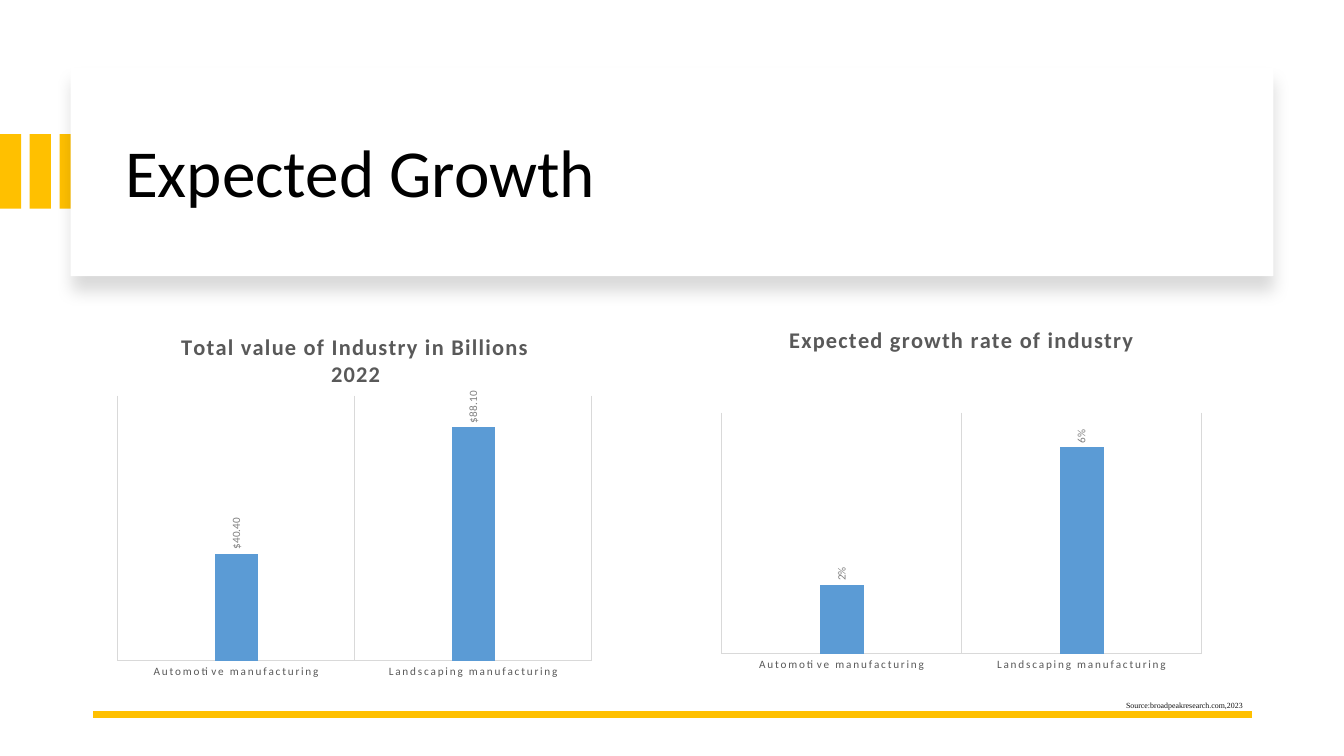
import pptx
import pptx.util
import pptx.chart.data
import pptx.dml.color
import pptx.enum.chart
import pptx.enum.shapes
import pptx.enum.text
import pptx.oxml
import pptx.oxml.ns

Inches = pptx.util.Inches
Pt = pptx.util.Pt
RGB = pptx.dml.color.RGBColor
XL = pptx.enum.chart
RECT = pptx.enum.shapes.MSO_SHAPE.RECTANGLE

GOLD = RGB(0xFF, 0xC0, 0x00)
WHITE = RGB(0xFF, 0xFF, 0xFF)
BLACK = RGB(0x00, 0x00, 0x00)
INK = RGB(0x11, 0x11, 0x11)
BLUE = RGB(0x5B, 0x9B, 0xD5)
DARK = RGB(0x59, 0x59, 0x59)
GREY = RGB(0x80, 0x80, 0x80)
PALE = RGB(0xD9, 0xD9, 0xD9)

NS = pptx.oxml.ns.nsdecls("a")
CATS = ["Automotive manufacturing", "Landscaping manufacturing"]
MONEY = '"$"#,##0.00_);[Red]\\("$"#,##0.00\\)'


def put(obj, **vals):
    """Set each named attribute of an object."""
    for key, val in vals.items():
        setattr(obj, key, val)


def style(font, size, color, name="Calibri", **more):
    put(font, size=Pt(size), name=name, **more)
    font.color.rgb = color


def block(shapes, box, color):
    rect = shapes.add_shape(RECT, *map(Inches, box))
    rect.shadow.inherit = False
    rect.fill.solid()
    rect.fill.fore_color.rgb = color
    rect.line.fill.background()
    return rect


def place(holder, x, y, w=None, h=None):
    """Give a chart part a manual layout, in fractions of the chart."""
    vals = [("xMode", "edge"), ("yMode", "edge"), ("x", x), ("y", y)]
    if w:
        vals = [("layoutTarget", "inner")] + vals + [("w", w), ("h", h)]
    inner = "".join(f'<c:{tag} val="{val}"/>' for tag, val in vals)
    for old in holder.findall(pptx.oxml.ns.qn("c:layout")):
        holder.remove(old)
    layout = pptx.oxml.parse_xml(
        f'<c:layout {pptx.oxml.ns.nsdecls("c")}>'
        f"<c:manualLayout>{inner}</c:manualLayout></c:layout>")
    text = holder.find(pptx.oxml.ns.qn("c:tx"))
    if text is None:
        holder.insert(0, layout)
    else:
        text.addnext(layout)


def header(slide, box):
    x, y, w, h = box
    # Gold bars at the left edge
    bars = slide.shapes.add_group_shape()
    for i in range(3):
        block(bars.shapes, (i * 0.295, y + 0.66, 0.21, 0.74), GOLD)
    # White card with a soft shadow
    card = block(slide.shapes, box, WHITE)
    effect = card._element.spPr.find(pptx.oxml.ns.qn("a:effectLst"))
    effect.append(pptx.oxml.parse_xml(
        f'<a:outerShdw {NS} blurRad="{Pt(11)}" dist="{Pt(10)}" dir="5400000" '
        'algn="t" rotWithShape="0"><a:srgbClr val="000000">'
        '<a:alpha val="15000"/></a:srgbClr></a:outerShdw>'))
    # Title, raised above the card
    title = slide.shapes.title
    put(title, left=Inches(x + 0.44), top=Inches(y + 0.22),
        width=Inches(w - 0.8), height=Inches(h - 0.37))
    title.text = "Expected Growth"
    title.text_frame.vertical_anchor = pptx.enum.text.MSO_ANCHOR.MIDDLE
    para = title.text_frame.paragraphs[0]
    put(para, alignment=pptx.enum.text.PP_ALIGN.LEFT, line_spacing=0.9)
    style(para.runs[0].font, 48, BLACK)
    card._element.addnext(title._element)


def growth(slide, box, title, vals, code, top, head, area):
    data = pptx.chart.data.CategoryChartData(number_format=code)
    data.categories = CATS
    data.add_series("Series 1", vals)
    chart = slide.shapes.add_chart(
        XL.XL_CHART_TYPE.COLUMN_CLUSTERED, *map(Inches, box), data).chart
    style(chart.font, 10, BLACK)
    put(chart, has_legend=False, has_title=True)
    # Title
    frame = chart.chart_title.text_frame
    frame.text = title
    font = frame.paragraphs[0].runs[0].font
    style(font, 16, DARK, bold=True)
    font._element.set("spc", "100")
    chart.chart_title.include_in_layout = False
    place(chart.chart_title._element, *head)
    # Axes
    axis = chart.category_axis
    put(axis, major_tick_mark=XL.XL_TICK_MARK.NONE, has_major_gridlines=True)
    for line in (axis.format.line, axis.major_gridlines.format.line):
        line.color.rgb = PALE
        line.width = Pt(0.75)
    style(axis.tick_labels.font, 8, DARK)
    axis.tick_labels.font._element.set("spc", "120")
    put(chart.value_axis, visible=False, has_major_gridlines=False,
        minimum_scale=0, maximum_scale=top)
    # Columns and upright labels
    plot = chart.plots[0]
    put(plot, gap_width=444, overlap=-90, vary_by_categories=False)
    place(chart._chartSpace.chart.plotArea, *area)
    bars = plot.series[0]
    bars.format.fill.solid()
    bars.format.fill.fore_color.rgb = BLUE
    labels = bars.data_labels
    put(labels, show_value=True, number_format=code,
        number_format_is_linked=False,
        position=XL.XL_LABEL_POSITION.OUTSIDE_END)
    style(labels.font, 8, GREY)
    body = labels._element.find(".//" + pptx.oxml.ns.qn("a:bodyPr"))
    body.set("rot", "-5400000")
    body.set("vert", "horz")


def footer(slide, box):
    x, y, w, h = box
    # Gold rule
    rule = slide.shapes.add_connector(
        pptx.enum.shapes.MSO_CONNECTOR.STRAIGHT,
        Inches(x + w), Inches(y + h), Inches(x), Inches(y + h))
    rule.line.color.rgb = GOLD
    rule.line.width = Pt(4.5)
    rule._element.spPr.append(pptx.oxml.parse_xml(f"<a:effectLst {NS}/>"))
    # Source note
    note = slide.shapes.add_textbox(
        Inches(x + 10.15), Inches(y), Inches(2.22), Inches(0.2))
    note.text_frame.word_wrap = True
    para = note.text_frame.paragraphs[0]
    para.text = "Source:broadpeakresearch.com,2023"
    para.space_after = Pt(6)
    style(para.runs[0].font, 5.6, INK, "Times New Roman")


def main():
    deck = pptx.Presentation()
    put(deck, slide_width=Inches(13.33), slide_height=Inches(7.5))
    slide = deck.slides.add_slide(deck.slide_layouts[5])
    header(slide, (0.7, 0.67, 11.93, 2.07))
    growth(slide, (1.07, 3.06, 4.9, 3.76),
           "Total value of Industry in Billions 2022", (40.4, 88.1), MONEY,
           100, (0.14, 0.05), (0.02, 0.23, 0.96, 0.7))
    growth(slide, (6.95, 3.03, 5.23, 3.8),
           "Expected growth rate of industry", (0.02, 0.06), "0%",
           0.07, (0.16, 0.04), (0.04, 0.28, 0.91, 0.63))
    footer(slide, (0.92, 6.9, 11.5, 0.19))
    deck.save("out.pptx")


if __name__ == "__main__":
    main()
